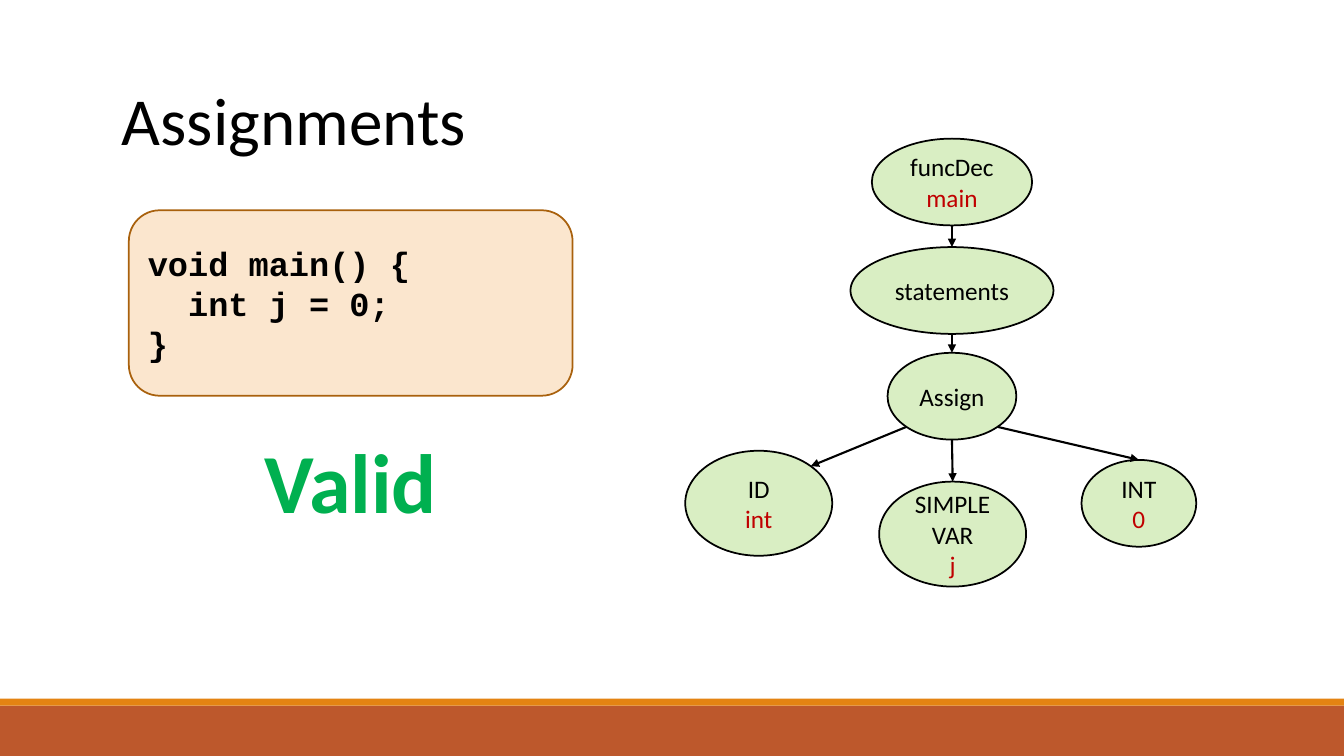
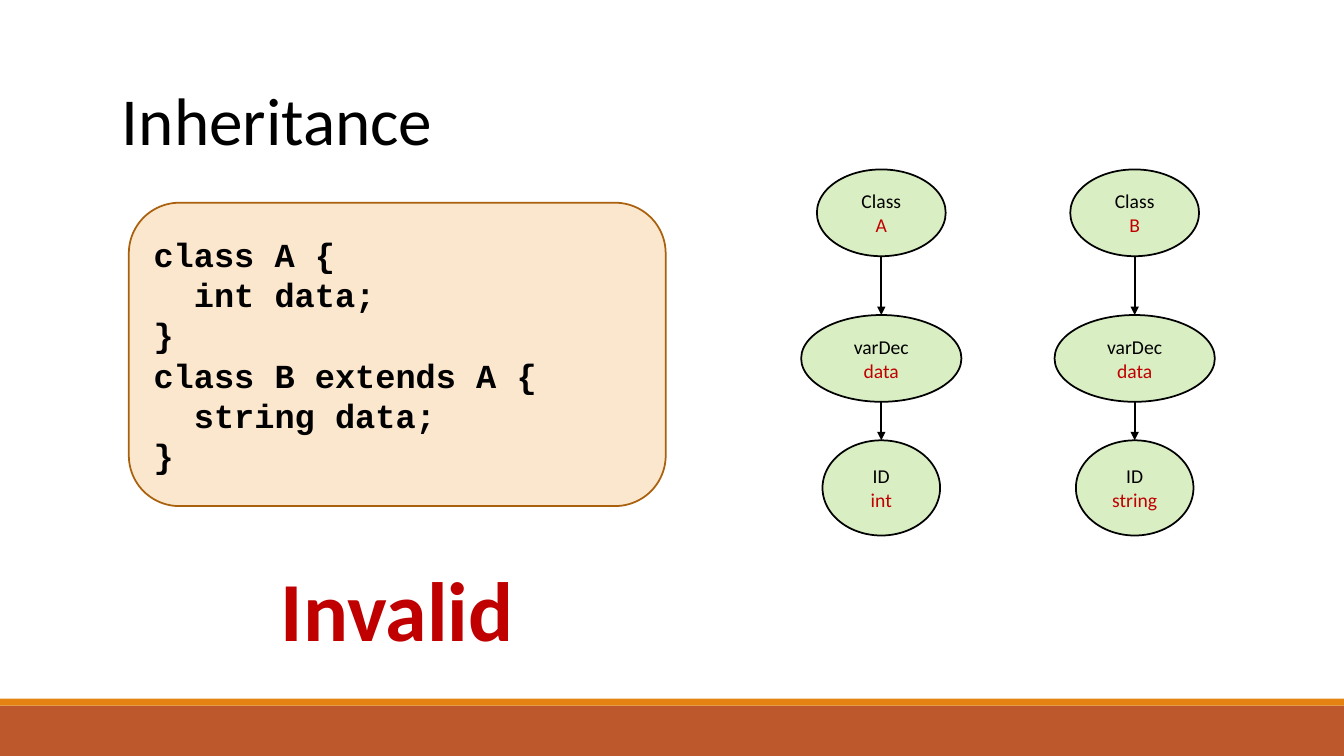
"""Builds two slides that check code samples against their syntax trees."""
import math

import lxml.etree
import pptx
import pptx.dml.color
import pptx.enum.shapes
import pptx.enum.text
import pptx.oxml.ns
import pptx.util

Pt = pptx.util.Pt
RGBColor = pptx.dml.color.RGBColor
SHAPE = pptx.enum.shapes.MSO_SHAPE
ALIGN = pptx.enum.text.PP_ALIGN
ANCHOR = pptx.enum.text.MSO_ANCHOR
qn = pptx.oxml.ns.qn

BLACK = RGBColor(0x00, 0x00, 0x00)
RUST = RGBColor(0xBD, 0x58, 0x2C)
ORANGE = RGBColor(0xE4, 0x83, 0x12)
CODE_FILL = RGBColor(0xFB, 0xE6, 0xCE)
CODE_EDGE = RGBColor(0xA9, 0x61, 0x0D)
NODE_GREEN = RGBColor(0x92, 0xD0, 0x50)
VALID_GREEN = RGBColor(0x00, 0xB0, 0x50)
RED = RGBColor(0xC0, 0x00, 0x00)

WIDTH, HEIGHT = 960, 540
BODY_FONT, CODE_FONT = "Calibri", "Courier New"
TOP, BOTTOM_LEFT, BOTTOM, BOTTOM_RIGHT, TOP_RIGHT = 0, 3, 4, 5, 7


def write_lines(frame, lines, size, colors, font=BODY_FONT, bold=False, align=ALIGN.LEFT):
    """Write one paragraph per line, each in its own colour."""
    frame.word_wrap = True
    for index, (line, color) in enumerate(zip(lines, colors)):
        paragraph = frame.paragraphs[0] if index == 0 else frame.add_paragraph()
        paragraph.text = line
        paragraph.alignment = align
        paragraph.font.name = font
        paragraph.font.size = Pt(size)
        paragraph.font.bold = bold
        paragraph.font.color.rgb = color


def add_panel(slide, kind, box, fill, edge=None):
    """Add a filled preset shape, outlined when an edge colour is given."""
    panel = slide.shapes.add_shape(kind, *map(Pt, box))
    panel.shadow.inherit = False
    panel.fill.solid()
    panel.fill.fore_color.rgb = fill
    if edge is None:
        panel.line.fill.background()
    else:
        panel.line.color.rgb = edge
        panel.line.width = Pt(1.25)
    return panel


def add_text(slide, box, text, size, color, **style):
    """Add a one-line text box."""
    label = slide.shapes.add_textbox(*map(Pt, box))
    write_lines(label.text_frame, [text], size, [color], **style)


def add_base(deck, title):
    """Add a slide with the shared title and bottom bands."""
    slide = deck.slides.add_slide(deck.slide_layouts[6])
    add_panel(slide, SHAPE.RECTANGLE, (0, 504, WIDTH, 36), RUST)
    add_panel(slide, SHAPE.RECTANGLE, (0, 499, WIDTH, 5), ORANGE)
    add_text(slide, (80, 52.4, 798, 65.5), title, 48, BLACK)
    return slide


def add_code(slide, box, code, verdict, verdict_color, gap):
    """Add a code panel with its verdict centred below it."""
    left, top, width, height = box
    panel = add_panel(slide, SHAPE.ROUNDED_RECTANGLE, box, CODE_FILL, CODE_EDGE)
    panel.text_frame.vertical_anchor = ANCHOR.MIDDLE
    lines = code.split("\n")
    write_lines(panel.text_frame, lines, 24, [BLACK] * len(lines), CODE_FONT, True)
    verdict_width = 220
    verdict_box = (left + (width - verdict_width) / 2, top + height + gap, verdict_width, 80)
    add_text(slide, verdict_box, verdict, 60, verdict_color, bold=True, align=ALIGN.CENTER)


def add_node(slide, box, labels, value, size):
    """Add a tree node with black labels and an optional red value."""
    node = add_panel(slide, SHAPE.OVAL, box, NODE_GREEN, BLACK)
    tint = node.element.spPr.find(qn("a:solidFill")).find(qn("a:srgbClr"))
    lxml.etree.SubElement(tint, qn("a:alpha"), val="34000")
    node.text_frame.vertical_anchor = ANCHOR.MIDDLE
    lines = labels + ([value] if value else [])
    colors = [BLACK] * len(labels) + [RED]
    write_lines(node.text_frame, lines, size, colors, align=ALIGN.CENTER)
    return node


def site_point(node, site):
    """Return the place of an oval's connection site, counted from the top leftwards."""
    angle = site * math.pi / 4
    x = node.left + node.width / 2 * (1 - math.sin(angle))
    y = node.top + node.height / 2 * (1 - math.cos(angle))
    return round(x), round(y)


def add_arrow(slide, parent, child, start=BOTTOM, end=TOP):
    """Join two nodes with an arrow glued to their connection sites."""
    arrow = slide.shapes.add_connector(
        pptx.enum.shapes.MSO_CONNECTOR.STRAIGHT,
        *site_point(parent, start), *site_point(child, end))
    arrow.line.color.rgb = BLACK
    arrow.line.width = Pt(1.5)
    properties = arrow.element.spPr
    lxml.etree.SubElement(properties.find(qn("a:ln")), qn("a:tailEnd"), type="triangle")
    lxml.etree.SubElement(properties, qn("a:effectLst"))
    glue = arrow.element.nvCxnSpPr.cNvCxnSpPr
    for tag, node, site in (("a:stCxn", parent, start), ("a:endCxn", child, end)):
        lxml.etree.SubElement(glue, qn(tag), id=str(node.shape_id), idx=str(site))


def add_tree(slide, axis, top, size, nodes, edges):
    """Add a tree whose nodes are placed from its vertical axis and top."""
    ovals = []
    for offset, drop, width, height, labels, value in nodes:
        box = (axis + offset - width / 2, top + drop, width, height)
        ovals.append(add_node(slide, box, labels, value, size))
    for parent, child, *sites in edges:
        add_arrow(slide, ovals[parent], ovals[child], *sites)


def add_assignments(deck):
    """Add the slide on a valid assignment."""
    slide = add_base(deck, "Assignments")
    code = "void main() {\n  int j = 0;\n}"
    add_code(slide, (92, 150.2, 317, 132.5), code, "Valid", VALID_GREEN, 20.5)
    nodes = [
        (0, 0, 114.5, 62, ["funcDec"], "main"),
        (0, 77.5, 145, 62, ["statements"], None),
        (0, 153, 92, 62, ["Assign"], None),
        (-138, 223, 105, 75, ["ID"], "int"),
        (0.5, 245, 105, 75, ["SIMPLE", "VAR"], "j"),
        (133.5, 229.5, 82, 62, ["INT"], "0"),
    ]
    edges = [(0, 1), (1, 2), (2, 3, BOTTOM_LEFT, TOP_RIGHT), (2, 4), (2, 5, BOTTOM_RIGHT, TOP)]
    add_tree(slide, 680, 99, 18, nodes, edges)


def add_inheritance(deck):
    """Add the slide on an invalid field override."""
    slide = add_base(deck, "Inheritance")
    code = "class A {\n  int data;\n}\nclass B extends A {\n  string data;\n}"
    add_code(slide, (92, 144.8, 383.5, 216.7), code, "Invalid", RED, 33)
    for column, (name, kind) in enumerate((("A", "int"), ("B", "string"))):
        nodes = [
            (0, 0, 92, 62, ["Class"], name),
            (0, 104, 114.5, 62, ["varDec"], "data"),
            (0, 193.5, 84, 68, ["ID"], kind),
        ]
        add_tree(slide, 629.5 + 181 * column, 121, 14, nodes, [(0, 1), (1, 2)])


def main():
    """Build and save the deck."""
    deck = pptx.Presentation()
    deck.slide_width, deck.slide_height = Pt(WIDTH), Pt(HEIGHT)
    add_assignments(deck)
    add_inheritance(deck)
    deck.save("out.pptx")


if __name__ == "__main__":
    main()
